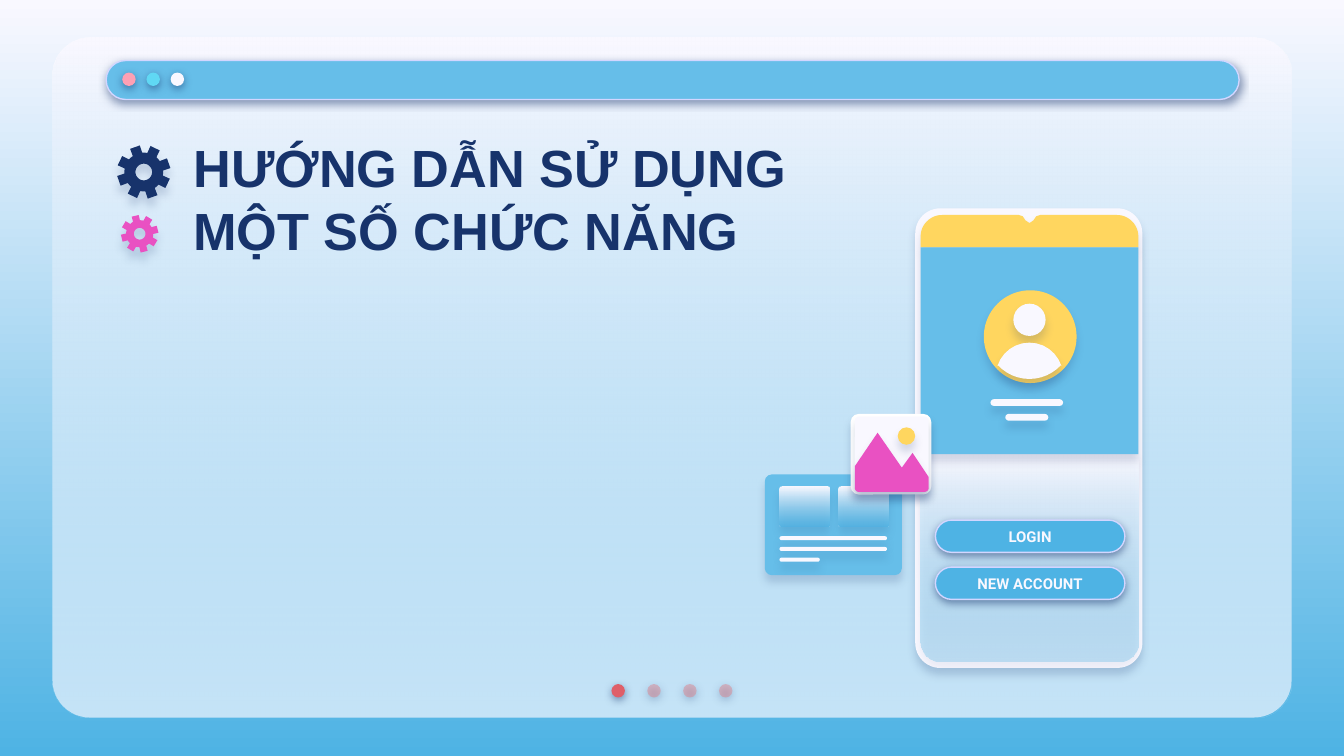
"""Build a title slide with a browser panel, a phone mock-up and gears."""
from dataclasses import dataclass
from math import cos, radians, sin
from typing import Optional

from lxml.etree import SubElement
from pptx import Presentation
from pptx.dml.color import RGBColor
from pptx.enum.shapes import MSO_SHAPE as Shp
from pptx.enum.text import MSO_ANCHOR as Anchor, MSO_AUTO_SIZE as Auto, PP_ALIGN as Align
from pptx.oxml.ns import qn
from pptx.util import Inches, Pt

NAVY, SKY, BLUE, WHITE = "17336B", "66BEE9", "4EB3E4", "F9F8FF"
YELLOW, PINK, LILAC = "FFD65F", "E951C2", "D2D6FF"
ROUND, OVAL = Shp.ROUNDED_RECTANGLE, Shp.OVAL
Points = list[tuple[float, float]]


@dataclass(frozen=True)
class Shadow:
    alpha: int
    dist: float


@dataclass(frozen=True)
class Paint:
    color: str
    end: Optional[str] = None
    alpha: int = 100


CRISP, SOFT = Shadow(50, 1.5), Shadow(16, 3.8)
GEAR_SHADOW = Shadow(16, 4.5)
GLASS = Paint(WHITE, SKY, 35)


@dataclass(frozen=True)
class Part:
    kind: Shp
    box: tuple[float, float, float, float]
    paint: Paint
    shadow: Optional[Shadow] = SOFT
    adj: tuple[float, ...] = ()
    line: Optional[str] = None
    text: str = ""


def rgb(color: str) -> RGBColor:
    return RGBColor.from_string(color)


def fill_with(fill, paint: Paint) -> None:
    if paint.end:
        fill.gradient()
        fill.gradient_angle = 270
        for stop, color in zip(fill.gradient_stops, (paint.color, paint.end)):
            stop.color.rgb = rgb(color)
    else:
        fill.solid()
        fill.fore_color.rgb = rgb(paint.color)


def set_alpha(clr, percent: int) -> None:
    SubElement(clr, qn("a:alpha"), val=str(percent * 1000))


def style(sp, paint: Paint, shadow: Optional[Shadow], line: Optional[str] = None) -> None:
    spPr = sp._element.spPr
    fill_with(sp.fill, paint)
    if paint.alpha < 100:
        set_alpha(spPr.findall(".//" + qn("a:srgbClr"))[-1], paint.alpha)
    if line:
        sp.line.color.rgb = rgb(line)
        sp.line.width = Pt(0.75)
    else:
        sp.line.fill.background()
    sp.shadow.inherit = False
    if shadow:
        outer = SubElement(spPr.find(qn("a:effectLst")), qn("a:outerShdw"), blurRad=str(Pt(4.5)),
                           dist=str(Pt(shadow.dist)), dir="5400000", algn="bl", rotWithShape="0")
        set_alpha(SubElement(outer, qn("a:srgbClr"), val=NAVY), shadow.alpha)


def write(sp, text: str, font: str, size: float, color: str, align: Align) -> None:
    tf = sp.text_frame
    margins = {f"margin_{side}": Inches(0.1) for side in ("left", "top", "right", "bottom")}
    frame = {"word_wrap": True, "auto_size": Auto.NONE, "vertical_anchor": Anchor.MIDDLE}
    for name, value in {**margins, **frame}.items():
        setattr(tf, name, value)
    p = tf.paragraphs[0]
    p.alignment = align
    r = p.add_run()
    r.text = text
    for name, value in {"name": font, "size": Pt(size), "bold": True}.items():
        setattr(r.font, name, value)
    r.font.color.rgb = rgb(color)


def draw(s, parts: list[Part]) -> None:
    for part in parts:
        sp = s.shapes.add_shape(part.kind, *map(Inches, part.box))
        for i, value in enumerate(part.adj):
            sp.adjustments[i] = value
        style(sp, part.paint, part.shadow, part.line)
        if part.text:
            write(sp, part.text, "Roboto", 8, WHITE, Align.CENTER)


def outline(s, contours: list[Points], color: str, shadow: Shadow = SOFT) -> None:
    rings = [[(Inches(x), Inches(y)) for x, y in ring] for ring in contours]
    fb = s.shapes.build_freeform(*rings[0][0], scale=1.0)
    fb.add_line_segments(rings[0][1:], close=True)
    for ring in rings[1:]:
        fb.move_to(*ring[0])
        fb.add_line_segments(ring[1:], close=True)
    style(fb.convert_to_shape(), Paint(color), shadow)


def arc(cx: float, cy: float, r: float, start: float, stop: float, n: int = 12) -> Points:
    angles = [radians(start + (stop - start) * i / n) for i in range(n + 1)]
    return [(cx + r * cos(a), cy + r * sin(a)) for a in angles]


def gear(s, cx: float, cy: float, r: float, turn: float, color: str) -> None:
    rim: Points = []
    for tooth in range(8):
        mid = turn + 45 * tooth
        rim += arc(cx, cy, r, mid - 11, mid + 11, 1) + arc(cx, cy, r * 0.72, mid + 15, mid + 30, 3)
    outline(s, [rim, arc(cx, cy, r * 0.31, 360, 0, 36)], color, GEAR_SHADOW)


def bar(x: float, y: float, w: float, h: float) -> Part:
    return Part(ROUND, (x, y, w, h), Paint(WHITE), adj=(0.5,))


def dots(x: float, y: float, step: float, paints: list[Paint]) -> list[Part]:
    return [Part(OVAL, (x + i * step, y, 0.1, 0.1), paint, CRISP) for i, paint in enumerate(paints)]


def panel(s) -> None:
    box = (0.39, 0.28, 9.22, 5.06)
    draw(s, [Part(ROUND, box, paint, None, (0.28 / 5.06,)) for paint in (Paint(WHITE), GLASS)])
    draw(s, dots(4.55, 5.09, 0.8 / 3, [Paint("DF5F69")] + [Paint("E27B83", alpha=44)] * 3))
    draw(s, [Part(ROUND, (0.79, 0.45, 8.43, 0.29), Paint(SKY), CRISP, (0.5,), LILAC)])
    draw(s, dots(0.91, 0.54, 0.18, [Paint(c) for c in ("FDA0B4", "60D8F4", WHITE)]))


def card(s) -> None:
    tile = Paint(WHITE, BLUE, 58)
    draw(s, [Part(ROUND, (5.69, 3.53, 1.02, 0.75), Paint(SKY), adj=(0.07,))])
    draw(s, [Part(ROUND, (x, 3.62, 0.37, 0.3), tile, adj=(0.06,)) for x in (5.8, 6.24)])
    draw(s, [bar(5.8, 3.99 + 0.08 * i, w, 0.03) for i, w in enumerate((0.8, 0.8, 0.3))])


def phone(s) -> None:
    draw(s, [Part(ROUND, (6.81, 1.55, 1.69, 3.42), Paint(WHITE), adj=(0.11,)),
             Part(Shp.ROUND_2_SAME_RECTANGLE, (6.85, 3.38, 1.62, 1.54), GLASS, adj=(0, 0.1))])
    notch = [(7.58, 1.6), (7.61, 1.61), (7.63, 1.64), (7.66, 1.66), (7.69, 1.64), (7.71, 1.61), (7.74, 1.6)]
    outline(s, [arc(7.01, 1.76, 0.16, 180, 270) + notch + arc(8.31, 1.76, 0.16, 270, 360)
                + [(8.47, 1.84), (6.85, 1.84)]], YELLOW)
    draw(s, [Part(Shp.RECTANGLE, (6.85, 1.84, 1.62, 1.54), Paint(SKY)),
             Part(OVAL, (7.32, 2.16, 0.69, 0.69), Paint(YELLOW)),
             Part(OVAL, (7.54, 2.26, 0.24, 0.24), Paint(WHITE))])
    outline(s, [arc(7.66, 2.8, 0.25, 198, 342) + arc(7.66, 2.5, 0.32, 42.5, 137.5)], WHITE)
    draw(s, [bar(7.37, 2.97, 0.54, 0.05), bar(7.48, 3.08, 0.32, 0.05)])
    draw(s, [Part(ROUND, (6.96, 3.87 + 0.35 * i, 1.41, 0.24), Paint(BLUE), CRISP, (0.5,), LILAC, label)
             for i, label in enumerate(("LOGIN", "NEW ACCOUNT"))])


def photo(s) -> None:
    draw(s, [Part(ROUND, (6.33, 3.08, 0.6, 0.6), Paint("FFFFFF"), adj=(0.1,)),
             Part(ROUND, (6.36, 3.1, 0.55, 0.55), Paint(WHITE), adj=(0.06,))])
    peaks = [(6.36, 3.47), (6.53, 3.22), (6.71, 3.48), (6.79, 3.37), (6.91, 3.55)]
    outline(s, [peaks + arc(6.88, 3.63, 0.03, 0, 90) + arc(6.39, 3.63, 0.03, 90, 180)], PINK)
    draw(s, [Part(OVAL, (6.68, 3.18, 0.13, 0.13), Paint(YELLOW))])


def heading(s) -> None:
    sp = s.shapes.title
    sp._element.getparent().append(sp._element)
    for name, value in zip(("left", "top", "width", "height"), (1.34, 1.08, 4.86, 0.79)):
        setattr(sp, name, Inches(value))
    write(sp, "HƯỚNG DẪN SỬ DỤNG MỘT SỐ CHỨC NĂNG", "Arial", 28, NAVY, Align.LEFT)


def main() -> None:
    prs = Presentation()
    prs.slide_width, prs.slide_height = Inches(10), Inches(10 * 9 / 16)
    s = prs.slides.add_slide(prs.slide_layouts[5])
    fill_with(s.background.fill, Paint(WHITE, BLUE))
    for section in (panel, heading, card, phone, photo):
        section(s)
    gear(s, 1.07, 1.28, 0.2, 250.5, NAVY)
    gear(s, 1.04, 1.74, 0.14, 256, PINK)
    prs.save("out.pptx")


if __name__ == "__main__":
    main()
